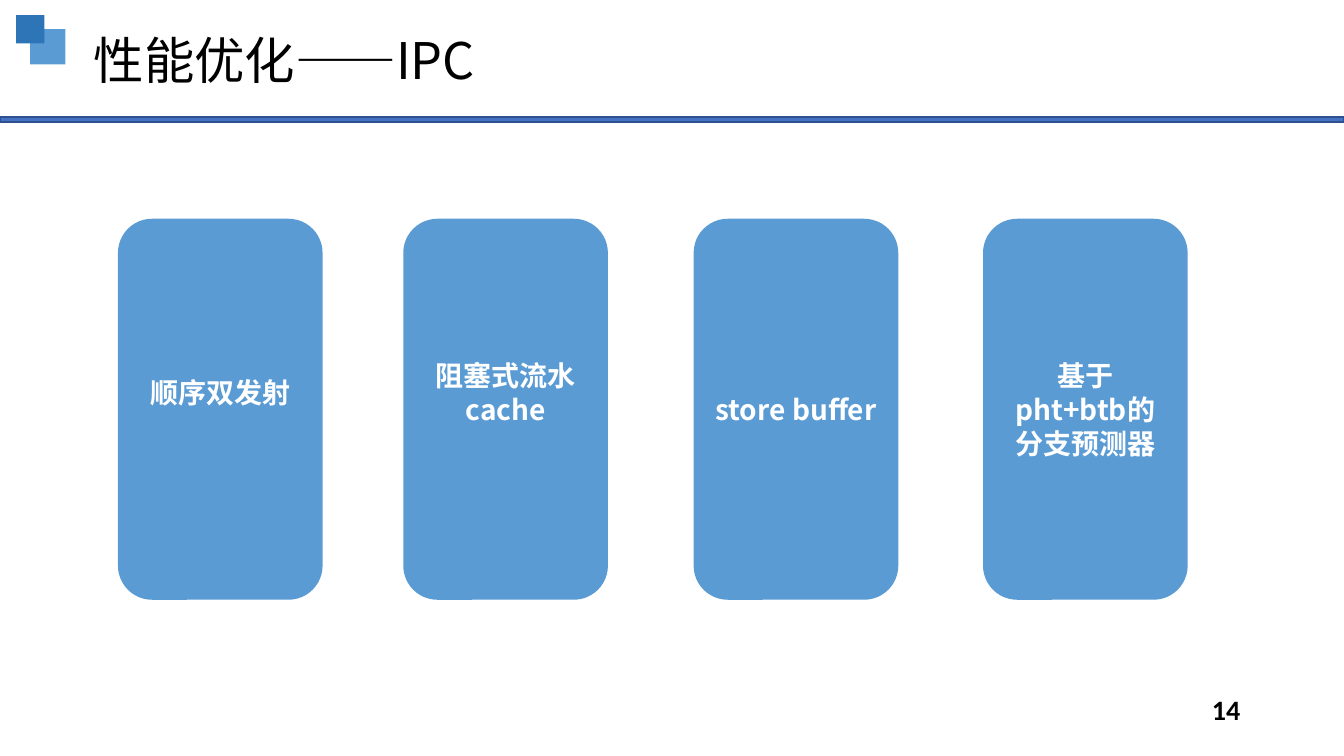
from pptx import Presentation
from pptx.dml.color import RGBColor
from pptx.enum.shapes import MSO_SHAPE
from pptx.enum.text import MSO_ANCHOR, PP_ALIGN
from pptx.oxml.ns import qn
from pptx.util import Inches, Pt
from lxml import etree

RECT, ROUND = MSO_SHAPE.RECTANGLE, MSO_SHAPE.ROUNDED_RECTANGLE
MIDDLE, TOP = MSO_ANCHOR.MIDDLE, MSO_ANCHOR.TOP
CENTER, LEFT = PP_ALIGN.CENTER, PP_ALIGN.LEFT
COLORS = {"card": "5B9BD4", "accent": "2D75B6", "bar": "4471C4",
          "bar_edge": "2E528F", "text": "000000", "card_text": "FFFFFF"}
CJK = "Noto Sans CJK SC"

prs = Presentation()
prs.slide_width, prs.slide_height = Inches(13.33), Inches(7.5)
s = prs.slides.add_slide(prs.slide_layouts[6])


def add_box(kind, x, y, w, h, fill, edge=None):
    sp = s.shapes.add_shape(kind, Inches(x), Inches(y), Inches(w), Inches(h))
    sp.shadow.inherit = False
    sp.fill.solid()
    sp.fill.fore_color.rgb = RGBColor.from_string(COLORS[fill])
    if edge:
        sp.line.color.rgb = RGBColor.from_string(COLORS[edge])
        sp.line.width = Pt(0.96)
    else:
        sp.line.fill.background()
    return sp


def write(sp, text, size, font, color, bold, align, anchor, margins):
    tf = sp.text_frame
    tf.word_wrap = True
    tf.vertical_anchor = anchor
    tf.margin_left, tf.margin_top, tf.margin_right, tf.margin_bottom = map(Inches, margins)
    p = tf.paragraphs[0]
    p.text, p.alignment = text, align
    p.font.size, p.font.bold, p.font.name = Pt(size), bold, font
    p.font.color.rgb = RGBColor.from_string(COLORS[color])
    # East Asian characters take the same typeface
    etree.SubElement(p._p.pPr.find(qn("a:defRPr")), qn("a:ea"), typeface=font)
    return p


# Header bar and corner squares
add_box(RECT, 0, 1.16, 13.33, 0.05, "bar", "bar_edge")
add_box(RECT, 0.3, 0.29, 0.35, 0.35, "card")
add_box(RECT, 0.16, 0.15, 0.28, 0.28, "accent")

# Title
title = s.shapes.add_textbox(Inches(0.92), Inches(0.28), Inches(7.93), Inches(0.62))
p = write(title, "性能优化——IPC", 36, CJK, "text", False, LEFT, TOP, (0.01, 0.01, 0, 0))
p.space_before = Pt(1)

# Cards: left edge, text, extra bottom margin that lifts the text
cards = [(1.17, "顺序双发射", 0.33),
         (4, "阻塞式流水cache", 0.33),
         (6.88, "store buffer", 0),
         (9.75, "基于pht+btb的分支预测器", 0)]
for x, text, lift in cards:
    card = add_box(ROUND, x, 2.17, 2.03, 3.78, "card")
    write(card, text, 20, CJK, "card_text", True, CENTER, MIDDLE,
          (0.1, 0.05, 0.1, 0.05 + lift))

# Page number
number = s.shapes.add_textbox(Inches(11.99), Inches(6.92), Inches(0.34), Inches(0.31))
p = write(number, "14", 20, "Calibri", "text", True, LEFT, TOP, (0.03, 0, 0, 0))
p.line_spacing = Pt(20.1)

prs.save("out.pptx")
